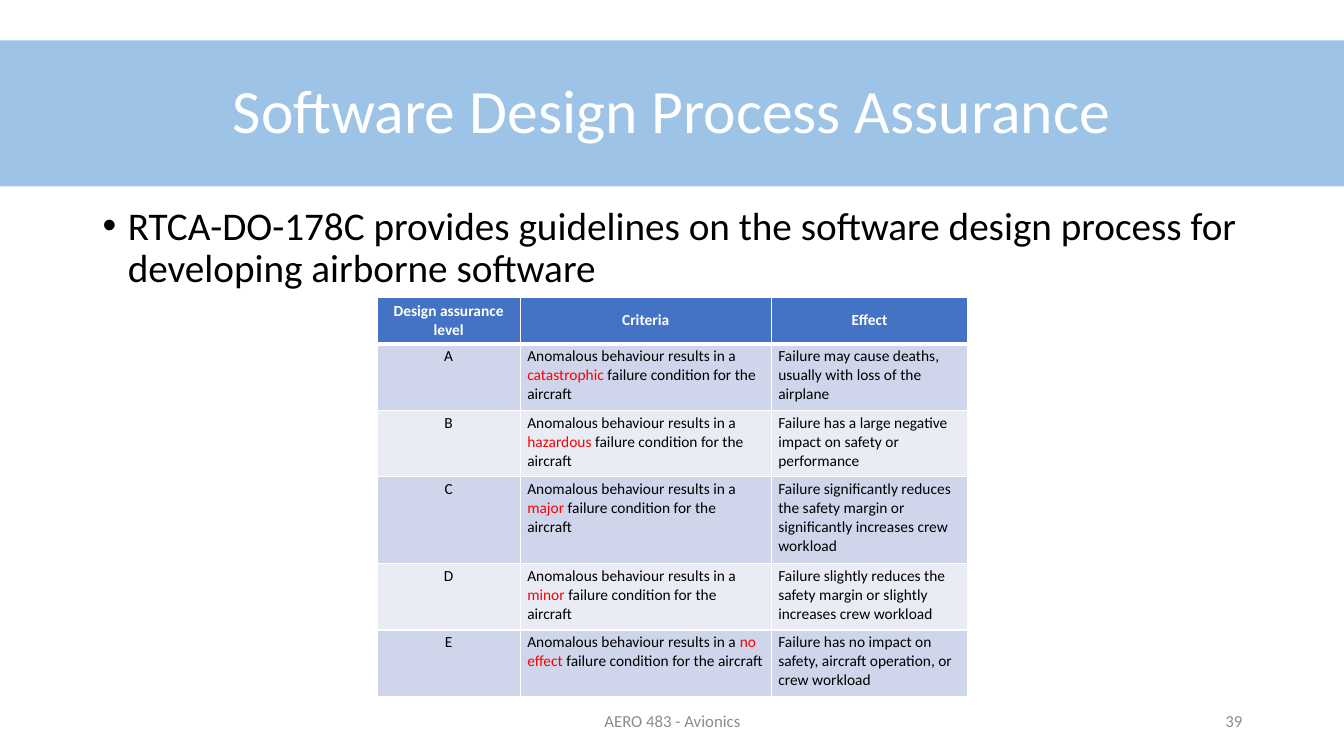
from lxml.etree import SubElement
from pptx import Presentation
from pptx.dml.color import RGBColor
from pptx.enum.text import MSO_ANCHOR, PP_ALIGN
from pptx.oxml.ns import qn
from pptx.util import Inches, Pt

COLORS = {
    "white": "FFFFFF",
    "black": "000000",
    "banner": "9DC3E6",
    "header": "4472C4",
    "odd_row": "CFD5EA",
    "even_row": "E9EBF5",
    "severity": "FF0000",
    "footer": "8C8C8C",
}
FONT = "Calibri"
COLUMN_WIDTHS = [1.42, 2.49, 1.95]
ROW_HEIGHTS = [0.46, 0.66, 0.66, 0.86, 0.66, 0.66]
HEADINGS = ["Design assurance level", "Criteria", "Effect"]
LEVELS = [
    ("A", "catastrophic", "Failure may cause deaths, usually with loss of the airplane"),
    ("B", "hazardous", "Failure has a large negative impact on safety or performance"),
    ("C", "major", "Failure significantly reduces the safety margin or "
                   "significantly increases crew workload"),
    ("D", "minor", "Failure slightly reduces the safety margin or "
                   "slightly increases crew workload"),
    ("E", "no effect", "Failure has no impact on safety, aircraft operation, or crew workload"),
]


def color(name):
    return RGBColor.from_string(COLORS[name])


def add_span(para, text, size, color_name, bold=False):
    span = para.add_run()
    span.text = text
    span.font.name = FONT
    span.font.size = Pt(size)
    span.font.bold = bold
    span.font.color.rgb = color(color_name)


def add_text_box(page, box, anchor):
    frame = page.shapes.add_textbox(*map(Inches, box)).text_frame
    frame.word_wrap = True
    frame.vertical_anchor = anchor
    return frame.paragraphs[0]


def add_title(page, box, text):
    title = page.shapes.title
    title.left, title.top, title.width, title.height = map(Inches, box)
    title.fill.solid()
    title.fill.fore_color.rgb = color("banner")
    title.text_frame.vertical_anchor = MSO_ANCHOR.MIDDLE
    para = title.text_frame.paragraphs[0]
    para.alignment = PP_ALIGN.CENTER
    para.line_spacing = 0.9
    add_span(para, text, 44, "white")


def add_bullet(page, box, text):
    para = add_text_box(page, box, MSO_ANCHOR.TOP)
    properties = para._p.get_or_add_pPr()
    properties.set("marL", str(Inches(0.25)))
    properties.set("indent", str(Inches(-0.25)))
    SubElement(properties, qn("a:buFont"), typeface="Arial")
    SubElement(properties, qn("a:buChar"), char="•")
    para.line_spacing = 0.9
    add_span(para, text, 28, "black")


def add_footer(page, box, text, alignment):
    para = add_text_box(page, box, MSO_ANCHOR.MIDDLE)
    para.alignment = alignment
    add_span(para, text, 12, "footer")


def set_borders(cell, widths):
    properties = cell._tc.get_or_add_tcPr()
    for side, width in zip("LRTB", widths):
        line = SubElement(properties, qn(f"a:ln{side}"), w=str(Pt(width)))
        fill = SubElement(line, qn("a:solidFill"))
        SubElement(fill, qn("a:srgbClr"), val=COLORS["white"])


def fill_cell(cell, spans, fill_name, centred, is_header):
    top_width = 1
    bottom_width = 3 if is_header else 1
    set_borders(cell, [1, 1, top_width, bottom_width])
    cell.fill.solid()
    cell.fill.fore_color.rgb = color(fill_name)
    cell.margin_left = cell.margin_right = Inches(0.07)
    cell.margin_top = cell.margin_bottom = Inches(0.03)
    cell.vertical_anchor = MSO_ANCHOR.MIDDLE if is_header else MSO_ANCHOR.TOP
    para = cell.text_frame.paragraphs[0]
    para.alignment = PP_ALIGN.CENTER if centred else PP_ALIGN.LEFT
    for text, color_name in spans:
        add_span(para, text, 11, color_name, is_header)


def add_level_table(page, left, top):
    box = (left, top, sum(COLUMN_WIDTHS), sum(ROW_HEIGHTS))
    frame = page.shapes.add_table(len(ROW_HEIGHTS), len(COLUMN_WIDTHS), *map(Inches, box))
    table = frame.table
    for column, width in zip(table.columns, COLUMN_WIDTHS):
        column.width = Inches(width)
    for row, height in zip(table.rows, ROW_HEIGHTS):
        row.height = Inches(height)
    for index, heading in enumerate(HEADINGS):
        fill_cell(table.cell(0, index), [(heading, "white")], "header", True, True)
    for row_index, (level, severity, effect) in enumerate(LEVELS, start=1):
        fill_name = "odd_row" if row_index % 2 else "even_row"
        criteria = [
            ("Anomalous behaviour results in a ", "black"),
            (severity, "severity"),
            (" failure condition for the aircraft", "black"),
        ]
        contents = [[(level, "black")], criteria, [(effect, "black")]]
        for index, spans in enumerate(contents):
            fill_cell(table.cell(row_index, index), spans, fill_name, index == 0, False)


def main():
    deck = Presentation()
    deck.slide_width = Inches(13.33)
    deck.slide_height = Inches(7.5)
    page = deck.slides.add_slide(deck.slide_layouts[5])
    add_title(page, (0, 0.4, 13.33, 1.45), "Software Design Process Assurance")
    add_bullet(page, (0.92, 2, 11.5, 4.76),
               "RTCA-DO-178C provides guidelines on the software design process "
               "for developing airborne software")
    add_footer(page, (4.42, 6.95, 4.5, 0.4), "AERO 483 - Avionics", PP_ALIGN.CENTER)
    add_footer(page, (9.42, 6.95, 3, 0.4), "39", PP_ALIGN.RIGHT)
    add_level_table(page, 3.74, 2.95)
    deck.save("out.pptx")


if __name__ == "__main__":
    main()
